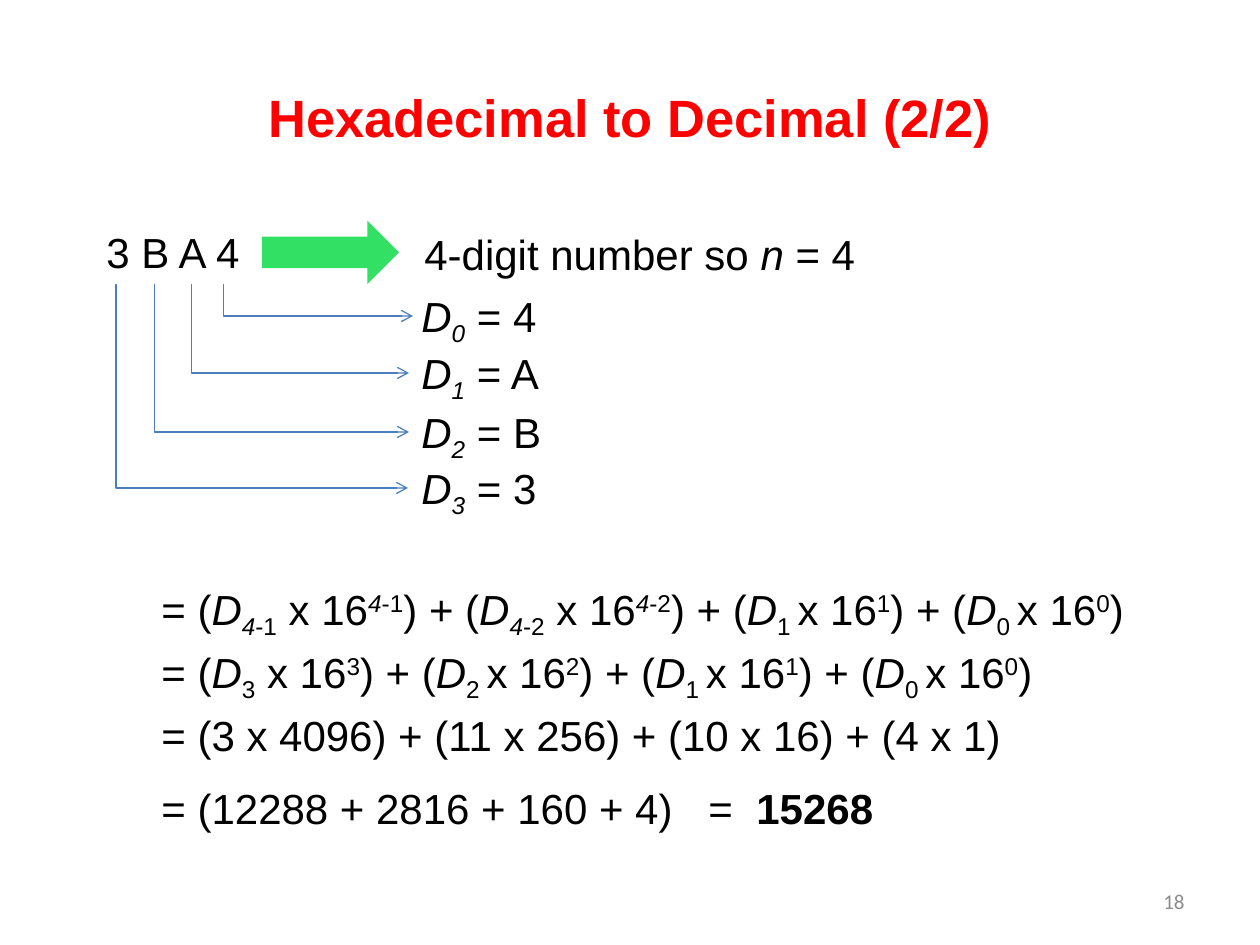
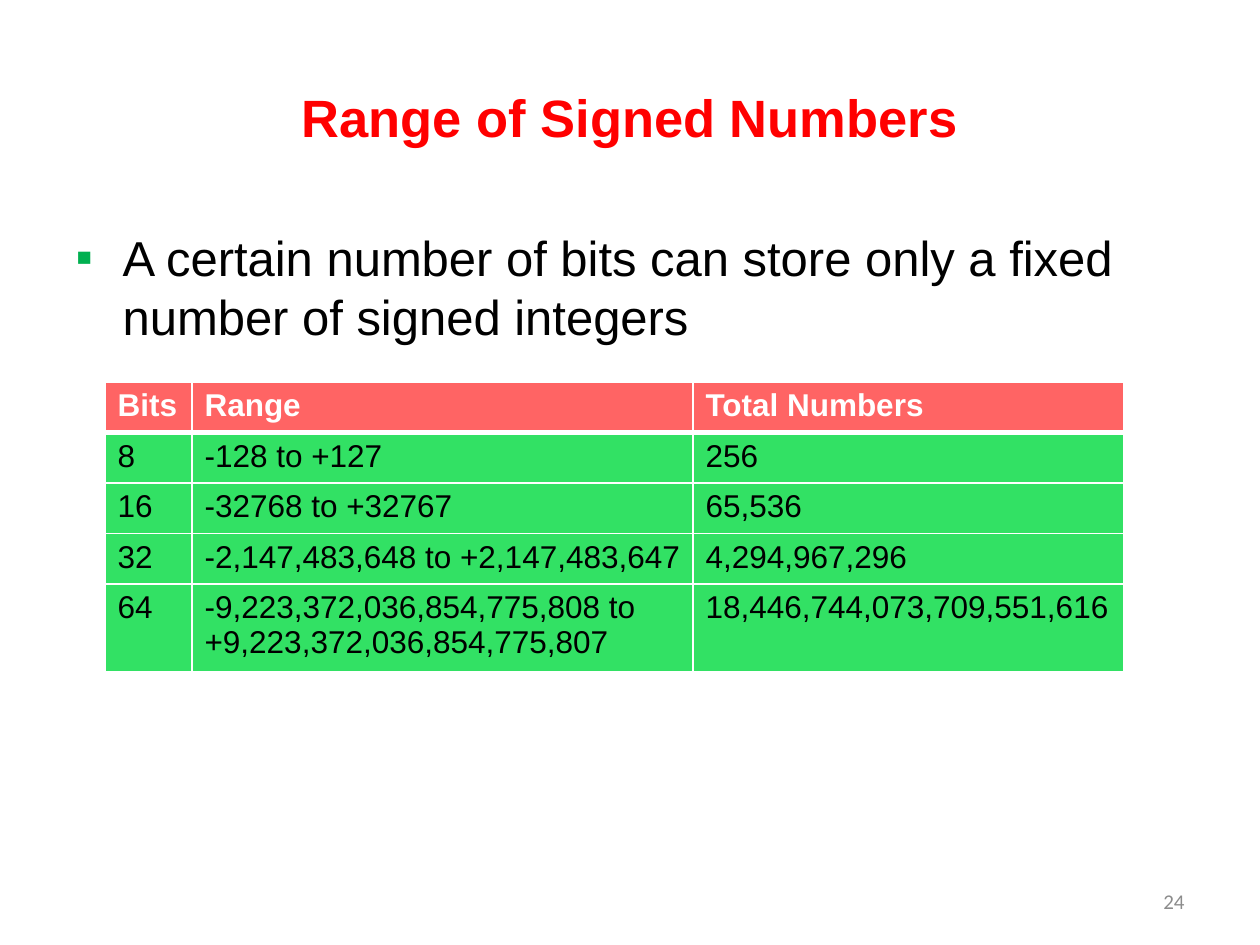
"""Build two number-system slides: hexadecimal conversion and signed ranges."""
from lxml import etree
from pptx import Presentation, oxml, util as u
from pptx.dml.color import RGBColor
from pptx.enum import shapes, text
from pptx.oxml.ns import qn

HUE = {"title": "FF0000", "ink": "000000", "page": "8C8C8C", "green": "32E164",
       "head": "FF6464", "white": "FFFFFF", "wire": "4B7EBC", "dot": "00B050"}
ALIGN = text.PP_ALIGN

# Runs are split by "|"; flags before "~": i italic, b bold, _ subscript, ^ superscript.
LOW = "i~D|_~1 |x 16|^~1|) + (|i~D|_~0 |x 16|^~0|)"
TEXTS = [
    ("3 B A 4", 94, 220, 166),
    ("4-digit number so |i~n| = 4", 412, 222, 470),
    ("= (|i~D|i_~4|_~-1| x 16|i^~4|^~-1|) + (|i~D|i_~4|_~-2| x 16|i^~4|^~-2|) + (|" + LOW,
     149, 577, 1060),
    ("= (|i~D|_~3| x 16|^~3|) + (|i~D|_~2 |x 16|^~2|) + (|" + LOW, 149, 640, 971),
    ("= (3 x 4096) + (11 x 256) + (10 x 16) + (4 x 1)", 149, 703, 890),
]
TOTAL = ("= (12288 + 2816 + 160 + 4)\t=\t|b~15268", 149, 776, 760)
STOPS = [547, 595]
DIGITS = [("4", 224, 284, 413), ("A", 192, 341, 409),
          ("B", 155, 400, 409), ("3", 117, 456, 408)]
POINT = "A certain number of bits can store only a fixed number of signed integers"
ROWS = [
    ("Bits", "Range", "Total Numbers"),
    ("8", "-128 to +127", "256"),
    ("16", "-32768 to +32767", "65,536"),
    ("32", "-2,147,483,648 to +2,147,483,647", "4,294,967,296"),
    ("64", "-9,223,372,036,854,775,808 to +9,223,372,036,854,775,807",
     "18,446,744,073,709,551,616"),
]
COLS = [87, 501, 431]
TALL = [48, 48, 48, 48, 82]


def px(num):
    return u.Emu(round(num * 914400 / 126))


def rgb(name):
    return RGBColor.from_string(HUE[name])


def node(root, tag, **attrs):
    item = etree.SubElement(root, qn(tag))
    for key, val in attrs.items():
        item.set(key, str(val))
    return item


def write(frame, words, size=24, hue="ink", bold=False, font="Arial", align=ALIGN.LEFT):
    para = frame.paragraphs[0]
    para.alignment = align
    for part in words.split("|"):
        flags, mark, body = part.partition("~")
        if not mark:
            flags, body = "", part
        run = para.add_run()
        run.text = body
        face = run.font
        face.name, face.size = font, u.Pt(size)
        face.bold, face.italic = bold or "b" in flags, "i" in flags
        face.color.rgb = rgb(hue)
        for sign, shift in (("_", -25000), ("^", 30000)):
            if sign in flags:
                run._r.get_or_add_rPr().set("baseline", str(shift))
    return para


def place(shape, *box):
    shape.left, shape.top, shape.width, shape.height = map(px, box)


def label(slide, words, left, top, wide, tall=63, **style):
    frame = slide.shapes.add_textbox(*map(px, (left, top, wide, tall))).text_frame
    frame.word_wrap = True
    return frame, write(frame, words, **style)


def start(deck, layout, title, page):
    slide = deck.slides.add_slide(deck.slide_layouts[layout])
    head = slide.shapes.title
    place(head, 63, 38, 1134, 158)
    head.text_frame.vertical_anchor = text.MSO_ANCHOR.MIDDLE
    write(head.text_frame, title, size=30, hue="title", bold=True, align=ALIGN.CENTER)
    frame, _ = label(slide, page, 903, 876, 294, 50, size=12, hue="page",
                     font="Calibri", align=ALIGN.RIGHT)
    frame.vertical_anchor = text.MSO_ANCHOR.MIDDLE
    return slide


def wire(slide, *ends):
    line = slide.shapes.add_connector(shapes.MSO_CONNECTOR.ELBOW, *map(px, ends))
    line.line.color.rgb = rgb("wire")
    line.line.width = u.Pt(0.75)
    node(line.line._get_or_add_ln(), "a:tailEnd", type="arrow")
    props = line._element.spPr
    node(props, "a:effectLst")
    bend = props.find(qn("a:prstGeom"))
    for old in bend.findall(qn("a:avLst")):
        bend.remove(old)
    node(node(bend, "a:avLst"), "a:gd", name="adj1", fmla="val -300")


def edge(cell, row):
    props = cell._tc.get_or_add_tcPr()
    heavy = {0: "a:lnB", 1: "a:lnT"}.get(row)
    for side in ("a:lnL", "a:lnR", "a:lnT", "a:lnB"):
        line = node(props, side, w=u.Pt(3 if side == heavy else 1))
        node(node(line, "a:solidFill"), "a:srgbClr", val=HUE["white"])


def convert(deck):
    slide = start(deck, 5, "Hexadecimal to Decimal (2/2)", "18")
    arrow = slide.shapes.add_shape(shapes.MSO_SHAPE.RIGHT_ARROW,
                                   *map(px, (262, 221, 137, 63)))
    arrow.shadow.inherit = False
    arrow.fill.solid()
    arrow.fill.fore_color.rgb = rgb("green")
    arrow.line.fill.background()
    for item in TEXTS:
        label(slide, *item)
    for pos, (digit, left, top, tip) in enumerate(DIGITS):
        label(slide, f"i~D|i_~{pos}| = {digit}", 409, top, 158)
        wire(slide, left, 285, tip, top + 32)
    _, para = label(slide, *TOTAL)
    tabs = node(para._p.get_or_add_pPr(), "a:tabLst")
    for stop in STOPS:
        node(tabs, "a:tab", pos=px(stop), algn="l")


def ranges(deck):
    slide = start(deck, 1, "Range of Signed Numbers", "24")
    body = slide.placeholders[1]
    place(body, 63, 221, 1134, 624)
    para = write(body.text_frame, POINT, size=28)
    props = para._p.get_or_add_pPr()
    props.set("marL", str(px(47)))
    props.set("indent", str(-px(47)))
    node(node(props, "a:spcBef"), "a:spcPct", val=20000)
    node(node(props, "a:buClr"), "a:srgbClr", val=HUE["dot"])
    node(props, "a:buFont", typeface="Arial")
    node(props, "a:buChar", char="▪")
    grid = slide.shapes.add_table(len(ROWS), len(COLS), *map(
        px, (105, 382, sum(COLS), sum(TALL)))).table
    grid.horz_banding = False
    for col, wide in zip(grid.columns, COLS):
        col.width = px(wide)
    for row, words in enumerate(ROWS):
        grid.rows[row].height = px(TALL[row])
        top = row == 0
        for col, word in enumerate(words):
            cell = grid.cell(row, col)
            edge(cell, row)
            cell.fill.solid()
            cell.fill.fore_color.rgb = rgb("head" if top else "green")
            write(cell.text_frame, word, size=18, hue="white" if top else "ink", bold=top)


deck = Presentation()
deck.slide_width, deck.slide_height = px(1260), px(945)
convert(deck)
ranges(deck)
deck.save("out.pptx")
